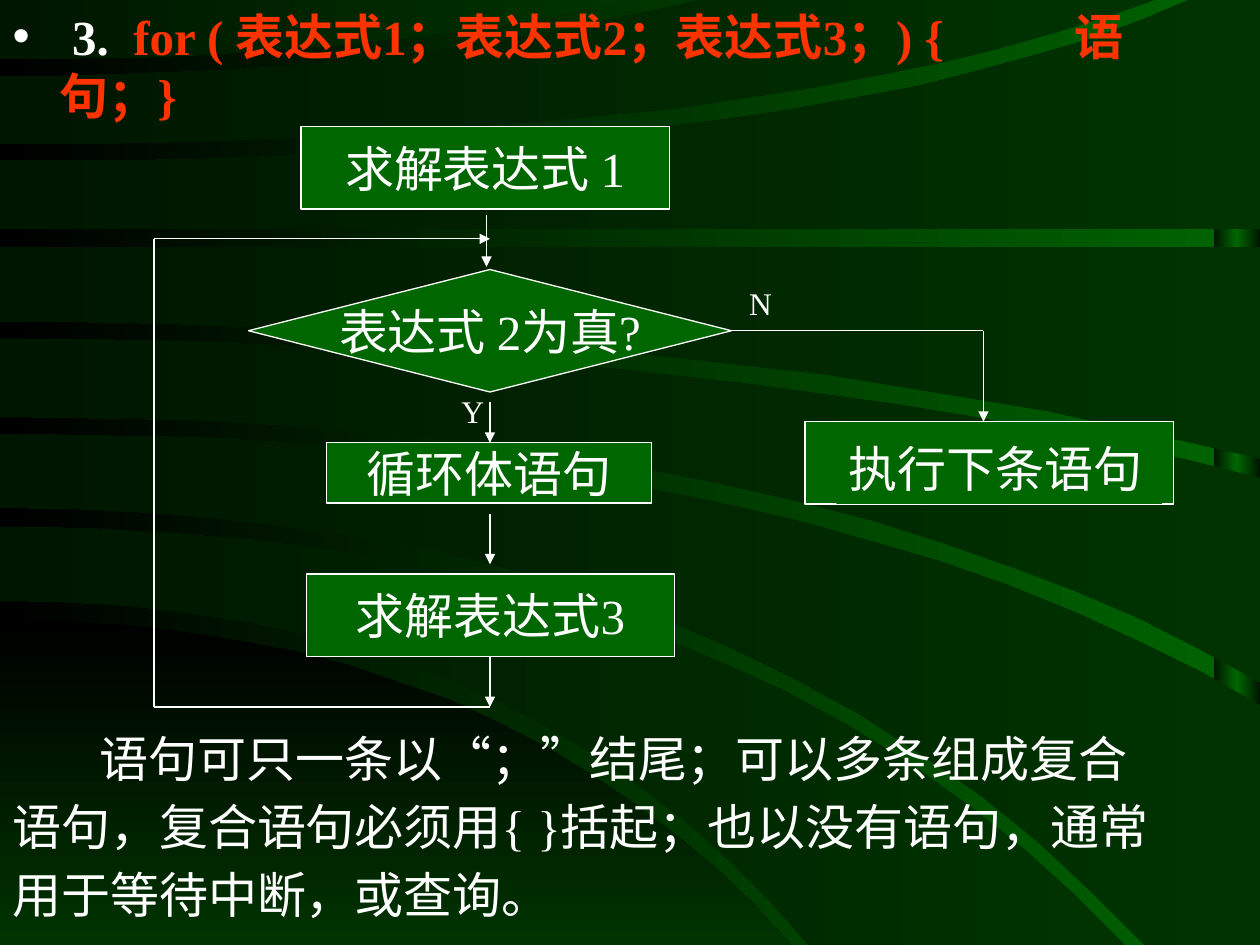
import pptx
import pptx.util
import pptx.dml.color
import pptx.enum.shapes
import pptx.enum.text
import pptx.oxml
import pptx.oxml.ns
import copy
from dataclasses import dataclass

Pt = pptx.util.Pt
RGB = pptx.dml.color.RGBColor.from_string
SHAPE = pptx.enum.shapes.MSO_SHAPE
ALIGN = pptx.enum.text.PP_ALIGN
ANCHOR = pptx.enum.text.MSO_ANCHOR


@dataclass(frozen=True)
class Theme:
    ink: str = "FFFFFF"
    code: str = "FF3300"
    node: str = "006600"
    black: str = "000000"
    band: str = "003300"
    shade: str = "001600"
    text_size: int = 28
    label_size: int = 18
    line_width: float = 0.75
    font: str = "Times New Roman"
    quote_font: str = "Arial"


theme = Theme()


def paint_gradient(fill, start, end, angle):
    fill.gradient()
    fill.gradient_angle = angle
    for stop, color in zip(fill.gradient_stops, (start, end)):
        stop.color.rgb = RGB(color)


def add_span(para, text, size=theme.text_size, color=theme.ink, font=theme.font, bold=False):
    span = para.add_run()
    span.text = text
    span.font.size = Pt(size)
    span.font.name = font
    span.font.bold = bold
    span.font.color.rgb = RGB(color)


deck = pptx.Presentation()
page_width, page_height = 720, 540
deck.slide_width, deck.slide_height = Pt(page_width), Pt(page_height)
page = deck.slides.add_slide(deck.slide_layouts[1])
title, body = page.placeholders
title.element.getparent().remove(title.element)
paint_gradient(page.background.fill, theme.node, theme.black, 180)

edge = page.shapes.add_shape(SHAPE.RECTANGLE, Pt(693.5), Pt(0), Pt(26.5), Pt(page_height))
edge.shadow.inherit = False
edge.line.fill.background()
paint_gradient(edge.fill, theme.shade, theme.shade, 180)
first_stop = edge.element.spPr.find(".//" + pptx.oxml.ns.qn("a:gs"))
middle_stop = copy.deepcopy(first_stop)
middle_stop.set("pos", "50000")
middle_stop[0].set("val", theme.node)
first_stop.addnext(middle_stop)

steps = 16
bands = [
    ((354, 288, 452, 540), (540, 226, 452, 540)),
    ((301, 418, 643, 540), (343, 299, 462, 540)),
    ((248, 460, 720, 403), (290, 423, 654, 540)),
    ((194, 400, 720, 273), (238, 460, 720, 390)),
    ((141, 360, 720, 141), (184, 406, 720, 262)),
    ((92, 476, 679, 0), (131, 360, 720, 131)),
    ((44, 220, 400, 0), (82, 442, 660, 0)),
    ((0, 180, 361, 0), (34, 204, 361, 0)),
]
for index, band_edges in enumerate(bands):
    curves = []
    for start_y, bend_x, end_x, end_y in band_edges:
        curve = []
        for step in range(steps + 1):
            t = step / steps
            curve.append((2 * t * (1 - t) * bend_x + t * t * end_x,
                          start_y + t * t * (end_y - start_y)))
        curves.append(curve)
    upper, lower = curves
    corner_y = page_height if lower[-1][1] == page_height else upper[-1][1]
    corner = (max(upper[-1][0], lower[-1][0]), corner_y)
    points = upper + [corner] + lower[::-1]
    outline = page.shapes.build_freeform(*points[0], scale=Pt(1))
    outline.add_line_segments(points[1:], close=True)
    band = outline.convert_to_shape()
    band.shadow.inherit = False
    band.line.fill.background()
    if index == 0:
        paint_gradient(band.fill, theme.black, theme.band, 270)
    else:
        paint_gradient(band.fill, theme.band, theme.shade, 180)

body.element.getparent().append(body.element)
body.left, body.top, body.width, body.height = Pt(0), Pt(0), Pt(690), Pt(324)
body.text_frame.auto_size = pptx.enum.text.MSO_AUTO_SIZE.NONE
para = body.text_frame.paragraphs[0]
para.space_before = Pt(0)
layout = para._p.get_or_add_pPr()
layout.set("marL", str(Pt(27)))
layout.set("indent", str(Pt(-27)))
namespace = pptx.oxml.ns.nsdecls("a")
for xml in (
    f'<a:buClr {namespace}><a:srgbClr val="{theme.ink}"/></a:buClr>',
    f'<a:buChar {namespace} char="•"/>',
    f'<a:tabLst {namespace}><a:tab pos="{Pt(69)}" algn="l"/><a:tab pos="{Pt(607)}" algn="l"/></a:tabLst>',
):
    layout.append(pptx.oxml.parse_xml(xml))
add_span(para, " 3.\t", bold=True)
add_span(para, "for ( 表达式1；表达式2；表达式3；) {\t语句；}", color=theme.code, bold=True)

wide_node = (210.5, 47)
nodes = [
    (SHAPE.FLOWCHART_PROCESS, 460, 241, wide_node, "", True),
    (SHAPE.RECTANGLE, 478, 247, (186, 41), "执行下条语句", False),
    (SHAPE.FLOWCHART_PROCESS, 186.5, 253, (186, 34.5), "循环体语句", True),
    (SHAPE.FLOWCHART_PROCESS, 172, 72.5, wide_node, "求解表达式 1", True),
    (SHAPE.FLOWCHART_DECISION, 142, 154, (276, 70), "表达式 2为真?", True),
    (SHAPE.FLOWCHART_PROCESS, 175, 328, wide_node, "求解表达式3", True),
]
for kind, left, top, (width, height), text, framed in nodes:
    node = page.shapes.add_shape(kind, Pt(left), Pt(top), Pt(width), Pt(height))
    node.shadow.inherit = False
    node.fill.solid()
    node.fill.fore_color.rgb = RGB(theme.node)
    if framed:
        node.line.color.rgb = RGB(theme.ink)
        node.line.width = Pt(theme.line_width)
    else:
        node.line.fill.background()
    frame = node.text_frame
    frame.word_wrap = not framed
    frame.vertical_anchor = ANCHOR.MIDDLE if framed else ANCHOR.TOP
    para = frame.paragraphs[0]
    para.alignment = ALIGN.CENTER if framed else ALIGN.LEFT
    if text:
        add_span(para, text)

axis, loop_left, loop_top, loop_bottom = 280, 88, 136.5, 404
exit_x, exit_y = 562, 189
routes = [
    [(278, 123), (278, 152.5)],
    [(axis, 294), (axis, 322.5)],
    [(axis, 229.5), (axis, 253)],
    [(axis, 375), (axis, loop_bottom)],
    [(418, exit_y), (exit_x, exit_y), (exit_x, 241)],
    [(axis, loop_bottom), (loop_left, loop_bottom), (loop_left, loop_top), (axis, loop_top)],
]
for route in routes:
    for start, end in zip(route, route[1:]):
        flow = page.shapes.add_connector(
            pptx.enum.shapes.MSO_CONNECTOR.STRAIGHT, *map(Pt, start + end))
        flow.line.color.rgb = RGB(theme.ink)
        flow.line.width = Pt(theme.line_width)
        if end == route[-1]:
            flow.line._get_or_add_ln().append(
                pptx.oxml.parse_xml(f'<a:tailEnd {namespace} type="triangle"/>'))
        flow.element.spPr.append(pptx.oxml.parse_xml(f"<a:effectLst {namespace}/>"))

box = page.shapes.add_textbox(Pt(0), Pt(408), Pt(672), Pt(132))
box.text_frame.word_wrap = True
para = box.text_frame.paragraphs[0]
para.line_spacing = 1.15
para._p.get_or_add_pPr().set("indent", str(Pt(50)))
for text, font in (
    ("语句可只一条以", theme.font),
    ("“", theme.quote_font),
    ("；", theme.font),
    ("”", theme.quote_font),
    ("结尾；可以多条组成复合语句，复合语句必须用{ }括起；也以没有语句，通常用于等待中断，或查询。", theme.font),
):
    add_span(para, text, font=font)

for text, left, top in (("Y", 256.5, 220.5), ("N", 421, 158.5)):
    box = page.shapes.add_textbox(Pt(left), Pt(top), Pt(27), Pt(29))
    box.text_frame.word_wrap = False
    add_span(box.text_frame.paragraphs[0], text, size=theme.label_size)

deck.save("out.pptx")
